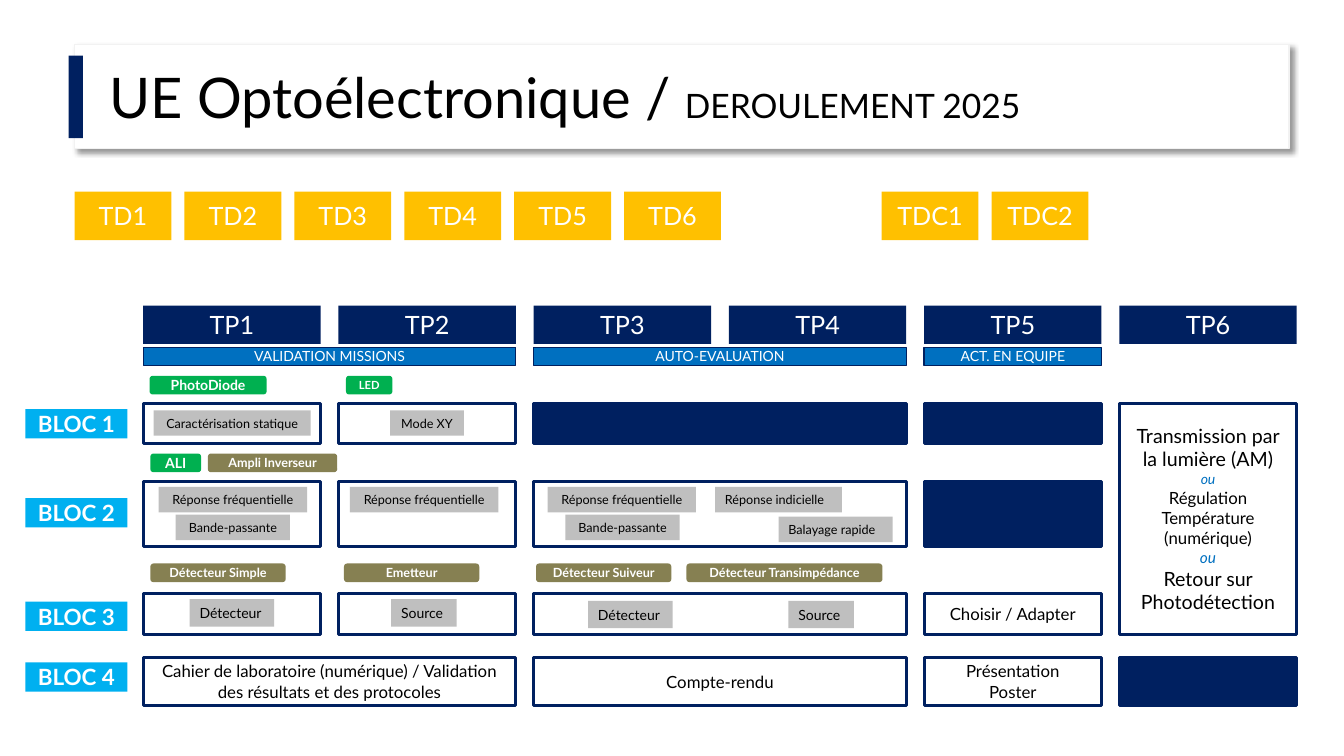
import dataclasses

import lxml.etree
import pptx
import pptx.dml.color
import pptx.enum.shapes
import pptx.enum.text
import pptx.oxml.ns
import pptx.util

Cm = pptx.util.Cm
Pt = pptx.util.Pt
ALIGN = pptx.enum.text.PP_ALIGN
ANCHOR = pptx.enum.text.MSO_ANCHOR
RECT = pptx.enum.shapes.MSO_SHAPE.RECTANGLE
ROUNDED = pptx.enum.shapes.MSO_SHAPE.ROUNDED_RECTANGLE


@dataclasses.dataclass(frozen=True)
class Theme:
    font: str = "Lato"
    navy: str = "002060"
    blue: str = "0070C0"
    sky: str = "00B0F0"
    gold: str = "FFC000"
    green: str = "00B050"
    olive: str = "868052"
    grey: str = "BFBFBF"
    edge: str = "F2F2F2"
    white: str = "FFFFFF"
    black: str = "000000"
    title: int = 40
    subtitle: int = 24
    session: int = 18
    bloc: int = 16
    project: int = 14
    body: int = 12
    aside: int = 11
    small: int = 10
    chip: int = 9
    tiny: int = 8


THEME = Theme()

# Content. Lengths are in centimetres.
TITLE = [("UE Optoélectronique / ", THEME.title), ("DEROULEMENT 2025", THEME.subtitle)]
TUTORIALS = [
    (1.88, ["TD1", "TD2", "TD3", "TD4", "TD5", "TD6"]),
    (22.22, ["TDC1", "TDC2"]),
]
LABS = ["TP1", "TP2", "TP3", "TP4", "TP5", "TP6"]
PHASES = [("VALIDATION MISSIONS", 0, 2), ("AUTO-EVALUATION", 2, 2), ("ACT. EN EQUIPE", 4, 1)]

# name: (label top, row top, row height)
BLOCS = {
    "BLOC 1": (10.31, 10.16, 1.02),
    "BLOC 2": (12.55, 12.14, 1.63),
    "BLOC 3": (15.16, 14.96, 1.02),
    "BLOC 4": (16.69, 16.56, 1.22),
}
# name: (first column, columns spanned, text); None is a solid cell
CELLS = {
    "BLOC 1": [(0, 1, ""), (1, 1, ""), (2, 2, None), (4, 1, None)],
    "BLOC 2": [(0, 1, ""), (1, 1, ""), (2, 2, ""), (4, 1, None)],
    "BLOC 3": [(0, 1, ""), (1, 1, ""), (2, 2, ""), (4, 1, "Choisir / Adapter")],
    "BLOC 4": [
        (0, 2, "Cahier de laboratoire (numérique) / Validation des résultats et des protocoles"),
        (2, 2, "Compte-rendu"),
        (4, 1, "Présentation\nPoster"),
        (5, 1, None),
    ],
}
PROJECT = [
    ("Transmission par la lumière (AM)", THEME.project, False),
    ("ou", THEME.small, True),
    ("Régulation Température (numérique)", THEME.body, False),
    ("ou", THEME.aside, True),
    ("Retour sur Photodétection", THEME.project, False),
]
# top, height, type size, alignment, [(text, left, width)]
STEPS = [
    (10.34, 0.64, THEME.chip, ALIGN.CENTER,
     [("Caractérisation statique", 3.87, 3.96), ("Mode XY", 9.83, 1.86)]),
    (12.27, 0.64, THEME.chip, ALIGN.CENTER,
     [("Réponse fréquentielle", 4.0, 3.74), ("Réponse fréquentielle", 8.82, 3.74),
      ("Réponse fréquentielle", 13.8, 3.74)]),
    (12.27, 0.64, THEME.chip, ALIGN.LEFT, [("Réponse indicielle", 18.02, 3.2)]),
    (12.97, 0.64, THEME.chip, ALIGN.CENTER,
     [("Bande-passante", 4.43, 2.88), ("Bande-passante", 14.25, 2.88)]),
    (13.02, 0.64, THEME.chip, ALIGN.LEFT, [("Balayage rapide", 19.62, 2.88)]),
    (15.1, 0.69, THEME.small, ALIGN.LEFT,
     [("Détecteur", 4.78, 2.13), ("Source", 9.86, 1.65)]),
    (15.14, 0.69, THEME.small, ALIGN.LEFT,
     [("Détecteur", 14.82, 2.13), ("Source", 19.87, 1.65)]),
]
# top, [(text, left, width, colour, type size)]
CIRCUITS = [
    (9.47, [("PhotoDiode", 3.77, 2.95, THEME.green, THEME.small),
            ("LED", 8.72, 1.17, THEME.green, THEME.tiny)]),
    (11.43, [("ALI", 3.79, 1.28, THEME.green, THEME.small),
             ("Ampli Inverseur", 5.24, 3.26, THEME.olive, THEME.chip)]),
    (14.2, [("Détecteur Simple", 3.79, 3.41, THEME.olive, THEME.chip),
            ("Emetteur", 8.67, 3.41, THEME.olive, THEME.chip),
            ("Détecteur Suiveur", 13.51, 3.41, THEME.olive, THEME.chip),
            ("Détecteur Transimpédance", 17.3, 4.94, THEME.olive, THEME.chip)]),
]

COLUMN_LEFT, COLUMN_PITCH, COLUMN_WIDTH = 3.61, 4.92, 4.47
TUTORIAL_PITCH = 2.77


def rgb(colour):
    return pptx.dml.color.RGBColor.from_string(colour)


def style_runs(paragraph, size, colour, bold=False, italic=False):
    for run in paragraph.runs:
        run.font.name = THEME.font
        run.font.size = Pt(size)
        run.font.bold = bold
        run.font.italic = italic
        run.font.color.rgb = rgb(colour)


def columns(first, span):
    """Left and width of a run of lab columns."""
    return COLUMN_LEFT + first * COLUMN_PITCH, COLUMN_WIDTH + (span - 1) * COLUMN_PITCH


def add_box(slide, left, top, width, height, fill=None, line=None, weight=2.25, preset=RECT):
    box = slide.shapes.add_shape(preset, Cm(left), Cm(top), Cm(width), Cm(height))
    box.shadow.inherit = False
    if fill:
        box.fill.solid()
        box.fill.fore_color.rgb = rgb(fill)
    else:
        box.fill.background()
    if line:
        box.line.color.rgb = rgb(line)
        box.line.width = Pt(weight)
    else:
        box.line.fill.background()
    return box


def write(box, lines, align=ALIGN.CENTER, wrap=True):
    """Fill a box with (text, size, colour, bold, italic) paragraphs."""
    frame = box.text_frame
    frame.word_wrap = wrap
    frame.vertical_anchor = ANCHOR.MIDDLE
    frame.margin_top = frame.margin_bottom = 0
    for index, (text, *style) in enumerate(lines):
        paragraph = frame.paragraphs[0] if index == 0 else frame.add_paragraph()
        paragraph.text = text
        paragraph.alignment = align
        style_runs(paragraph, *style)


def add_title(slide):
    card = add_box(slide, 1.88, 1.12, 30.61, 2.62, THEME.white, THEME.edge, 1)
    effects = card._element.spPr.find(pptx.oxml.ns.qn("a:effectLst"))
    shadow = lxml.etree.SubElement(
        effects, pptx.oxml.ns.qn("a:outerShdw"), blurRad=str(Pt(4)), dist=str(Pt(3)),
        dir=str(45 * 60000), algn="tl", rotWithShape="0")
    tint = lxml.etree.SubElement(shadow, pptx.oxml.ns.qn("a:srgbClr"), val=THEME.black)
    lxml.etree.SubElement(tint, pptx.oxml.ns.qn("a:alpha"), val="40000")

    title = slide.shapes.title
    card._element.addnext(title._element)
    title.left, title.top, title.width, title.height = Cm(2.51), Cm(1.63), Cm(24.92), Cm(1.96)
    title.text_frame.auto_size = pptx.enum.text.MSO_AUTO_SIZE.NONE
    title.text_frame.vertical_anchor = ANCHOR.TOP
    heading = title.text_frame.paragraphs[0]
    heading.alignment = ALIGN.LEFT
    heading.line_spacing = 0.9
    for text, size in TITLE:
        run = heading.add_run()
        run.text = text
        run.font.name = THEME.font
        run.font.size = Pt(size)
        run.font.color.rgb = rgb(THEME.black)
    add_box(slide, 1.73, 1.4, 0.36, 2.08, THEME.navy)


def add_sessions(slide):
    for start, names in TUTORIALS:
        for index, name in enumerate(names):
            tutorial = add_box(slide, start + index * TUTORIAL_PITCH, 4.83, 2.44, 1.22, THEME.gold)
            write(tutorial, [(name, THEME.session, THEME.white)])
    for index, name in enumerate(LABS):
        left, width = columns(index, 1)
        lab = add_box(slide, left, 7.7, width, 0.97, THEME.navy)
        write(lab, [(name, THEME.session, THEME.white)])
    for name, first, span in PHASES:
        left, width = columns(first, span)
        phase = add_box(slide, left, 8.75, width, 0.46, THEME.blue, THEME.navy, 1)
        write(phase, [(name, THEME.small, THEME.white)])


def add_blocs(slide):
    for name, (label_top, top, height) in BLOCS.items():
        label = add_box(slide, 0.64, label_top, 2.57, 0.74, THEME.sky)
        write(label, [(name, THEME.bloc, THEME.white, True)])
        for first, span, text in CELLS[name]:
            left, width = columns(first, span)
            fill = THEME.navy if text is None else None
            cell = add_box(slide, left, top, width, height, fill, THEME.navy)
            if text:
                write(cell, [(text, THEME.body, THEME.black)])
    left, width = columns(5, 1)
    top = BLOCS["BLOC 1"][1]
    bottom = BLOCS["BLOC 3"][1] + BLOCS["BLOC 3"][2]
    project = add_box(slide, left, top, width, bottom - top, line=THEME.navy)
    write(project, [(text, size, THEME.blue if aside else THEME.black, False, aside)
                    for text, size, aside in PROJECT])


def add_details(slide):
    for top, height, size, align, steps in STEPS:
        for text, left, width in steps:
            step = add_box(slide, left, top, width, height, THEME.grey)
            write(step, [(text, size, THEME.black)], align, wrap=False)
    for top, circuits in CIRCUITS:
        for text, left, width, colour, size in circuits:
            circuit = add_box(slide, left, top, width, 0.47, colour, preset=ROUNDED)
            write(circuit, [(text, size, THEME.white, True)])


def main():
    deck = pptx.Presentation()
    deck.slide_width, deck.slide_height = Cm(33.87), Cm(19.05)
    slide = deck.slides.add_slide(deck.slide_layouts[5])
    add_title(slide)
    add_sessions(slide)
    add_blocs(slide)
    add_details(slide)
    deck.save("out.pptx")


if __name__ == "__main__":
    main()
